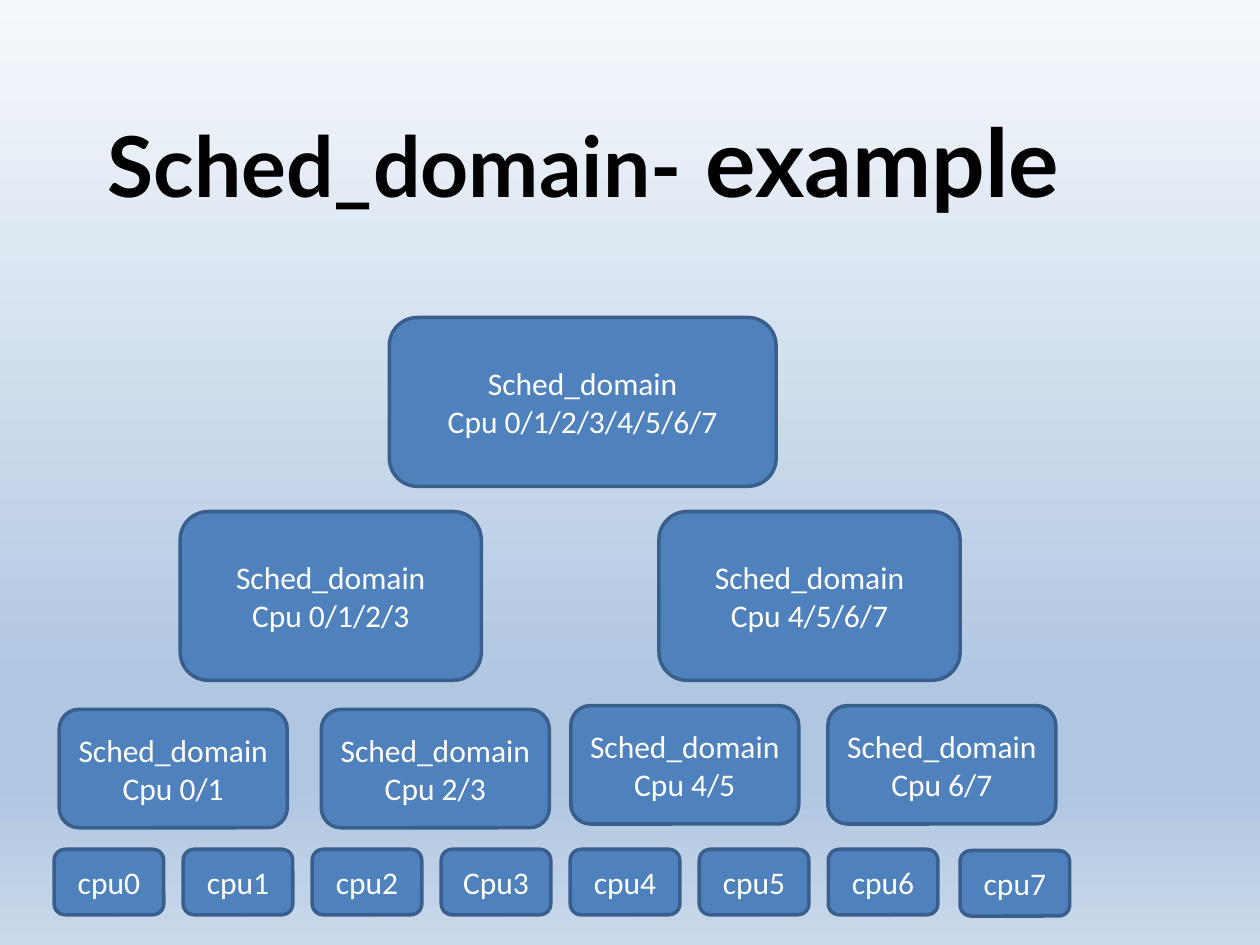
"""Build the Sched_domain hierarchy slide."""
import copy

import pptx
import pptx.dml.color
import pptx.enum.shapes
import pptx.enum.text
import pptx.oxml.ns
import pptx.util

Inches = pptx.util.Inches
Pt = pptx.util.Pt
RGBColor = pptx.dml.color.RGBColor

BLUE = RGBColor(0x4F, 0x81, 0xBD)
BORDER = RGBColor(0x3A, 0x5F, 0x8C)
WHITE = RGBColor(0xFF, 0xFF, 0xFF)
BLACK = RGBColor(0, 0, 0)
SKY = [
    (0, RGBColor(0xF6, 0xF9, 0xFC)),
    (0.74, RGBColor(0xB0, 0xC6, 0xE1)),
    (0.83, RGBColor(0xB0, 0xC6, 0xE1)),
    (1, RGBColor(0xCA, 0xD9, 0xEB)),
]


class Deck:
    """Slide style and the slide being built."""

    def __init__(self):
        self.prs = pptx.Presentation()
        self.prs.slide_width = Inches(10)
        self.prs.slide_height = Inches(7.5)
        self.s = self.prs.slides.add_slide(self.prs.slide_layouts[5])

    def background(self, stops):
        """Fill the background with a top-to-bottom gradient."""
        fill = self.s.background.fill
        fill.gradient()
        fill.gradient_angle = 270
        gs_lst = next(self.s._element.iter(pptx.oxml.ns.qn("a:gsLst")))
        while len(gs_lst) < len(stops):
            gs_lst.append(copy.deepcopy(gs_lst[0]))
        for stop, (position, color) in zip(fill.gradient_stops, stops):
            stop.position = position
            stop.color.rgb = color

    def run(self, p, text, size, font, color, bold=False):
        """Add one formatted run to a paragraph."""
        r = p.add_run()
        r.text = text
        r.font.size = Pt(size)
        r.font.name = font
        r.font.bold = bold
        r.font.color.rgb = color

    def title(self, parts, x, y, w, h):
        """Place the title, given as (text, size) parts."""
        sp = self.s.shapes.title
        sp.left, sp.top, sp.width, sp.height = map(Inches, (x, y, w, h))
        tf = sp.text_frame
        tf.auto_size = pptx.enum.text.MSO_AUTO_SIZE.SHAPE_TO_FIT_TEXT
        tf.vertical_anchor = pptx.enum.text.MSO_ANCHOR.MIDDLE
        p = tf.paragraphs[0]
        p.alignment = pptx.enum.text.PP_ALIGN.CENTER
        for text, size in parts:
            self.run(p, text, size, "Lato", BLACK, True)

    def box(self, lines, x, y, w, h):
        """Add a rounded box with one paragraph per line."""
        sp = self.s.shapes.add_shape(
            pptx.enum.shapes.MSO_SHAPE.ROUNDED_RECTANGLE,
            Inches(x), Inches(y), Inches(w), Inches(h))
        sp.shadow.inherit = False
        sp.fill.solid()
        sp.fill.fore_color.rgb = BLUE
        sp.line.color.rgb = BORDER
        sp.line.width = Pt(2)
        tf = sp.text_frame
        tf.word_wrap = True
        tf.vertical_anchor = pptx.enum.text.MSO_ANCHOR.MIDDLE
        for i, line in enumerate(lines):
            p = tf.add_paragraph() if i else tf.paragraphs[0]
            p.alignment = pptx.enum.text.PP_ALIGN.CENTER
            self.run(p, line, 18, "Calibri", WHITE)

    def domains(self, places, w, h):
        """Add a level of domains that share the eight CPUs equally."""
        span = 8 // len(places)
        for i, (x, y) in enumerate(places):
            cpus = "/".join(str(n) for n in range(i * span, (i + 1) * span))
            self.box(["Sched_domain", f"Cpu {cpus}"], x, y, w, h)


def main():
    """Build and save the slide."""
    deck = Deck()
    deck.background(SKY)
    deck.title([("Sched_domain-", 48), (" example", 54)], 0.38, 0.76, 8.5, 1.01)
    names = ["cpu0", "cpu1", "cpu2", "Cpu3", "cpu4", "cpu5", "cpu6"]
    for i, name in enumerate(names):
        deck.box([name], 0.43 + 1.024 * i, 6.74, 0.87, 0.52)
    deck.box(["cpu7"], 7.62, 6.75, 0.87, 0.52)
    deck.domains([(0.47, 5.63), (2.55, 5.63), (4.53, 5.6), (6.57, 5.6)], 1.81, 0.94)
    deck.domains([(1.43, 4.06), (5.23, 4.06)], 2.39, 1.34)
    deck.domains([(3.09, 2.52)], 3.07, 1.34)
    deck.prs.save("out.pptx")


if __name__ == "__main__":
    main()
